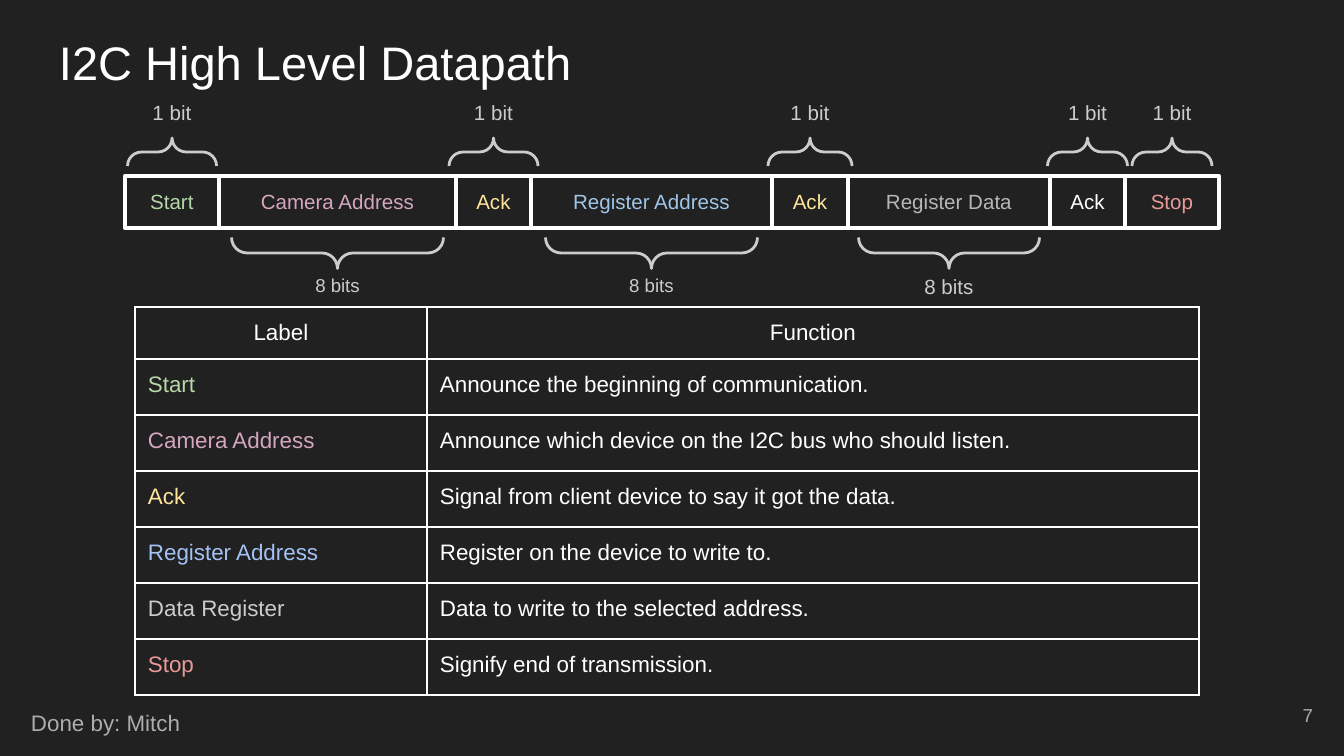
import pptx
import pptx.util
import pptx.dml.color
import pptx.enum.shapes
import pptx.enum.text
import pptx.oxml
import pptx.oxml.ns

PX = 9144000 / 1344
ALIGN = pptx.enum.text.PP_ALIGN
ANCHOR = pptx.enum.text.MSO_ANCHOR
SHAPE = pptx.enum.shapes.MSO_SHAPE
INSET = 13
WHITE, LIGHT, GREY, DARK = "FFFFFF", "CCCCCC", "ADADAD", "212121"
GREEN, PINK, YELLOW, RED = "B6D7A8", "D5A6BD", "FFE599", "EA9999"

# name, colour, cell width, brace width, brace side, bit label, label size
FIELDS = [
    ("Start", GREEN, 94, 89, "above", "1 bit", 11),
    ("Camera Address", PINK, 237, 212, "below", "8 bits", 10),
    ("Ack", YELLOW, 75, 89, "above", "1 bit", 11),
    ("Register Address", "9FC5E8", 241, 212, "below", "8 bits", 10),
    ("Ack", YELLOW, 76, 84, "above", "1 bit", 11),
    ("Register Data", "B7B7B7", 202, 181, "below", "8 bits", 11),
    ("Ack", WHITE, 75, 80, "above", "1 bit", 11),
    ("Stop", RED, 94, 80, "above", "1 bit", 11),
]

FUNCTIONS = [
    ("Start", GREEN, "Announce the beginning of communication."),
    ("Camera Address", PINK, "Announce which device on the I2C bus who should listen."),
    ("Ack", YELLOW, "Signal from client device to say it got the data."),
    ("Register Address", "A4C2F4", "Register on the device to write to."),
    ("Data Register", LIGHT, "Data to write to the selected address."),
    ("Stop", RED, "Signify end of transmission."),
]


def px(n):
    return pptx.util.Emu(round(n * PX))


def box(*lengths):
    return [px(n) for n in lengths]


def color(hex_value):
    return pptx.dml.color.RGBColor.from_string(hex_value)


def write(tf, text, size=12, fill=WHITE, align=ALIGN.LEFT):
    p = tf.paragraphs[0]
    p.alignment = align
    r = p.add_run()
    r.text = text
    r.font.name = "Arial"
    r.font.size = pptx.util.Pt(size)
    r.font.color.rgb = color(fill)


def set_frame(tf, anchor=ANCHOR.TOP):
    tf.word_wrap = True
    tf.auto_size = pptx.enum.text.MSO_AUTO_SIZE.NONE
    tf.vertical_anchor = anchor
    tf.margin_left = tf.margin_top = tf.margin_right = tf.margin_bottom = px(INSET)


def add_text(s, x, y, w, h, text, anchor=ANCHOR.TOP, **fmt):
    tf = s.shapes.add_textbox(*box(x, y, w, h)).text_frame
    set_frame(tf, anchor)
    write(tf, text, **fmt)


def add_outline(s, kind, x, y, w, h, line, width):
    sp = s.shapes.add_shape(kind, *box(x, y, w, h))
    sp.shadow.inherit = False
    sp.fill.background()
    sp.line.color.rgb = color(line)
    sp.line.width = pptx.util.Pt(width)
    return sp


def add_brace(s, cx, cy, span, depth, rotation):
    """Add a brace lying on its side, centred on (cx, cy)."""
    sp = add_outline(s, SHAPE.LEFT_BRACE, cx - depth / 2, cy - span / 2,
                     depth, span, LIGHT, 1.5)
    sp.adjustments[0] = sp.adjustments[1] = 0.5
    sp.rotation = rotation


def add_title(s, x, y, w, h, text):
    sp = s.shapes.title
    sp.left, sp.top, sp.width, sp.height = box(x, y, w, h)
    set_frame(sp.text_frame)
    write(sp.text_frame, text, size=25.2)


def add_datapath(s, x, y, h):
    """Add the row of message fields with a brace and bit count for each."""
    for name, fill, w, span, side, bits, size in FIELDS:
        sp = add_outline(s, SHAPE.RECTANGLE, x, y, w, h, WHITE, 2.25)
        set_frame(sp.text_frame)
        write(sp.text_frame, name, size=11, fill=fill, align=ALIGN.CENTER)
        cx = x + w / 2
        if side == "above":
            add_brace(s, cx, y - 24, span, 28, 90)
            label_y = y - 89
        else:
            add_brace(s, cx, y + 77, span, 31, 270)
            label_y = y + 85
        add_text(s, cx - 51, label_y, 102, 52, bits, size=size, fill=LIGHT,
                 align=ALIGN.CENTER)
        x += w


def set_borders(cell, line, width):
    tc_pr = cell._tc.get_or_add_tcPr()
    ns = pptx.oxml.ns.nsdecls("a")
    for i, side in enumerate(("lnL", "lnR", "lnT", "lnB")):
        tc_pr.insert(i, pptx.oxml.parse_xml(
            f'<a:{side} {ns} w="{pptx.util.Pt(width)}"><a:solidFill>'
            f'<a:srgbClr val="{line}"/></a:solidFill></a:{side}>'))


def fill_cell(cell, text, **fmt):
    cell.margin_left = cell.margin_top = cell.margin_right = cell.margin_bottom = px(INSET)
    cell.fill.background()
    set_borders(cell, WHITE, 1.5)
    write(cell.text_frame, text, **fmt)


def add_function_table(s, x, y, widths, header_h, row_h):
    rows = len(FUNCTIONS) + 1
    height = header_h + row_h * len(FUNCTIONS)
    table = s.shapes.add_table(rows, 2, *box(x, y, sum(widths), height)).table
    table.first_row = table.horz_banding = False
    for column, w in zip(table.columns, widths):
        column.width = px(w)
    for i, row in enumerate(table.rows):
        row.height = px(row_h if i else header_h)
    for i, heading in enumerate(("Label", "Function")):
        fill_cell(table.cell(0, i), heading, align=ALIGN.CENTER)
    for i, (label, fill, function) in enumerate(FUNCTIONS, 1):
        fill_cell(table.cell(i, 0), label, fill=fill)
        fill_cell(table.cell(i, 1), function)


def add_footer(s, y):
    add_text(s, 18, y + 10, 292, 54, "Done by: Mitch", fill=GREY)
    add_text(s, 1245, y, 81, 58, "7", anchor=ANCHOR.MIDDLE, size=10, fill=GREY,
             align=ALIGN.RIGHT)


def main():
    prs = pptx.Presentation()
    prs.slide_width, prs.slide_height = box(1344, 756)
    s = prs.slides.add_slide(prs.slide_layouts[5])
    s.background.fill.solid()
    s.background.fill.fore_color.rgb = color(DARK)
    add_title(s, 46, 20, 1253, 85, "I2C High Level Datapath")
    add_datapath(s, 125, 176, 52)
    add_function_table(s, 135, 307, (292, 772), 52, 56)
    add_footer(s, 686)
    prs.save("out.pptx")


if __name__ == "__main__":
    main()
